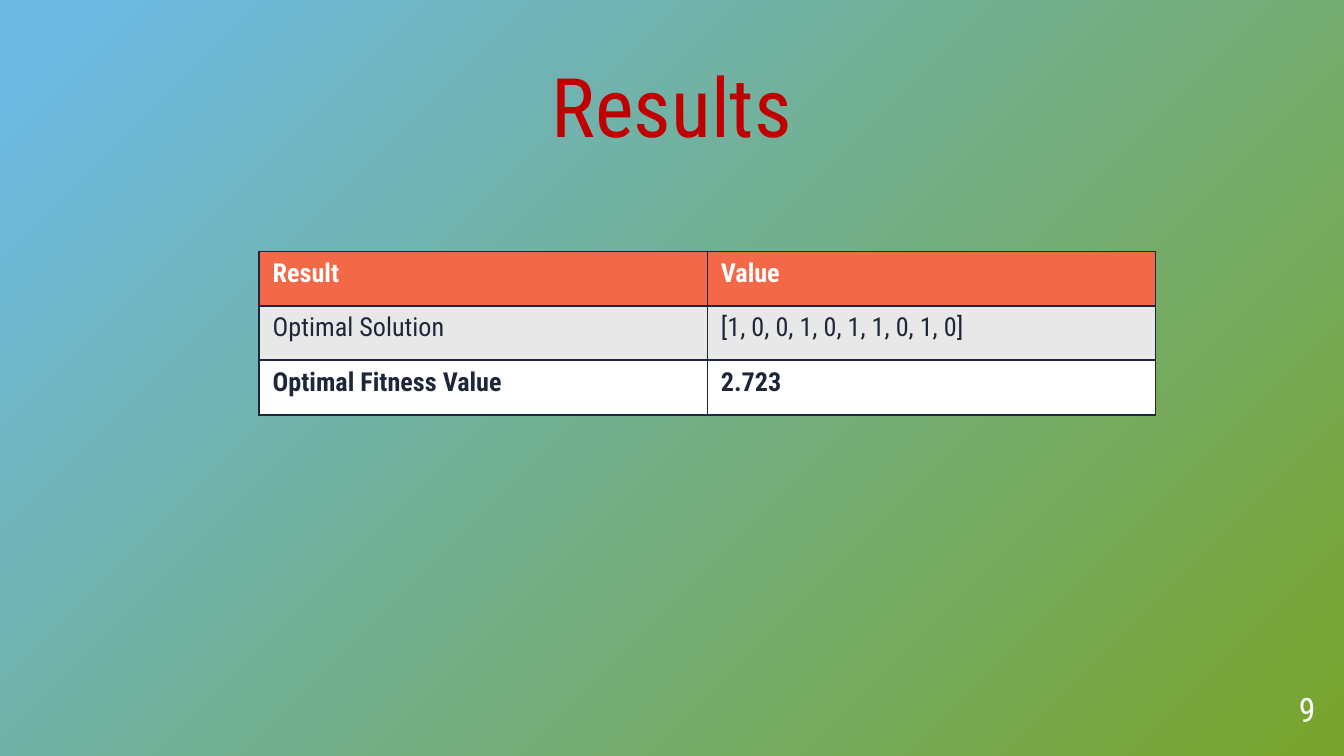
from pptx import Presentation
from pptx.dml.color import RGBColor
from pptx.enum.text import MSO_ANCHOR, MSO_AUTO_SIZE, PP_ALIGN
from pptx.oxml import parse_xml
from pptx.oxml.ns import qn
from pptx.util import Cm, Pt

BOTTOM = MSO_ANCHOR.BOTTOM
CENTER, LEFT, RIGHT = PP_ALIGN.CENTER, PP_ALIGN.LEFT, PP_ALIGN.RIGHT
NO_AUTOFIT = MSO_AUTO_SIZE.NONE
NAMESPACE = 'xmlns:a="http://schemas.openxmlformats.org/drawingml/2006/main"'

# Content
TITLE = "Results"
PAGE_NUMBER = "9"
ROWS = [
    ("Result", "Value"),
    ("Optimal Solution", "[1, 0, 0, 1, 0, 1, 1, 0, 1, 0]"),
    ("Optimal Fitness Value", "2.723"),
]

# Formats
FONT = "Roboto Condensed"
NAVY = "1E263A"
ROW_STYLES = [  # fill, text colour, bold
    ("F36846", "FFFFFF", True),
    ("E8E8E8", NAVY, False),
    ("FFFFFF", NAVY, True),
]
GRADIENT = [(0, "79A42B"), (96, "6DB9E4"), (100, "6DB9E4")]

# Places in centimetres: left, top, width, height
TITLE_BOX = (2.16, 1.52, 21.08, 1.42)
NUMBER_BOX = (23.34, 12.9, 1.52, 0.89)
TABLE_BOX = (4.9, 4.75, 16.94, 3.09)


def color(hex_value):
    return RGBColor.from_string(hex_value)


def set_attributes(target, values):
    for name, value in values.items():
        setattr(target, name, value)


def write(frame, text, size, hex_value, bold=False, align=LEFT, spacing=1.0):
    paragraph = frame.paragraphs[0]
    set_attributes(paragraph, {"alignment": align, "line_spacing": spacing})
    run = paragraph.add_run()
    run.text = text
    set_attributes(run.font, {"name": FONT, "size": Pt(size), "bold": bold})
    run.font.color.rgb = color(hex_value)
    return run


def place(shape, box):
    lengths = [Cm(value) for value in box]
    set_attributes(shape, dict(zip(("left", "top", "width", "height"), lengths)))
    set_attributes(shape.text_frame, {
        "margin_left": 0, "margin_top": 0, "margin_right": 0, "margin_bottom": 0,
        "word_wrap": True, "auto_size": NO_AUTOFIT, "vertical_anchor": BOTTOM,
    })


def add_borders(cell):
    properties = cell._tc.get_or_add_tcPr()
    for index, side in enumerate(("lnL", "lnR", "lnT", "lnB")):
        properties.insert(index, parse_xml(
            f'<a:{side} {NAMESPACE} w="12700"><a:solidFill>'
            f'<a:srgbClr val="{NAVY}"/></a:solidFill></a:{side}>'))


presentation = Presentation()
presentation.slide_width, presentation.slide_height = Cm(25.4), Cm(14.29)
slide = presentation.slides.add_slide(presentation.slide_layouts[5])

# Background: circular gradient centred on the bottom right corner
slide.background.fill.gradient()
stops = "".join(f'<a:gs pos="{position * 1000}"><a:srgbClr val="{value}"/></a:gs>'
                for position, value in GRADIENT)
old_gradient = next(slide.element.iter(qn("a:gradFill")))
old_gradient.getparent().replace(old_gradient, parse_xml(
    f'<a:gradFill {NAMESPACE} rotWithShape="1"><a:gsLst>{stops}</a:gsLst>'
    '<a:path path="circle"><a:fillToRect l="100000" t="100000"/></a:path>'
    '<a:tileRect r="-100000" b="-100000"/></a:gradFill>'))

# Title with a soft text shadow
title = slide.shapes.title
place(title, TITLE_BOX)
title_run = write(title.text_frame, TITLE, 44, "C00000", align=CENTER, spacing=0.9)
fill = title_run.font._element.find(qn("a:solidFill"))
fill.addnext(parse_xml(
    f'<a:effectLst {NAMESPACE}><a:outerShdw blurRad="38100" dist="38100" dir="2700000">'
    '<a:srgbClr val="000000"><a:alpha val="43000"/></a:srgbClr>'
    '</a:outerShdw></a:effectLst>'))

# Page number
number = slide.shapes.add_textbox(0, 0, 0, 0)
place(number, NUMBER_BOX)
write(number.text_frame, PAGE_NUMBER, 18, "FFFFFF", align=RIGHT, spacing=0.9)

# Results table
table = slide.shapes.add_table(
    len(ROWS), len(ROWS[0]), *(Cm(value) for value in TABLE_BOX)).table
for row_index, (texts, style) in enumerate(zip(ROWS, ROW_STYLES)):
    fill_color, text_color, bold = style
    for column_index, text in enumerate(texts):
        cell = table.cell(row_index, column_index)
        cell.fill.solid()
        cell.fill.fore_color.rgb = color(fill_color)
        add_borders(cell)
        write(cell.text_frame, text, 14, text_color, bold)

presentation.save("out.pptx")
